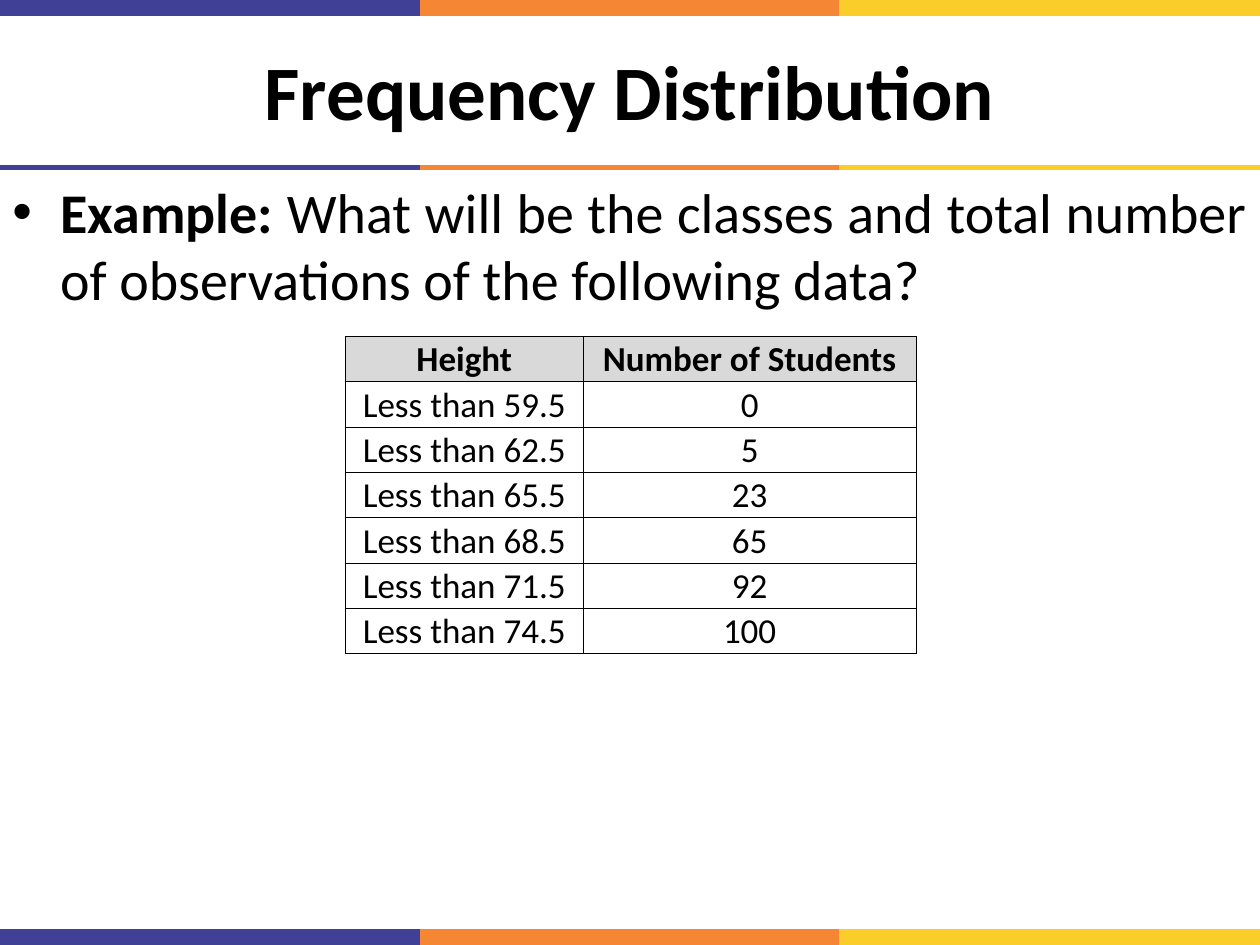
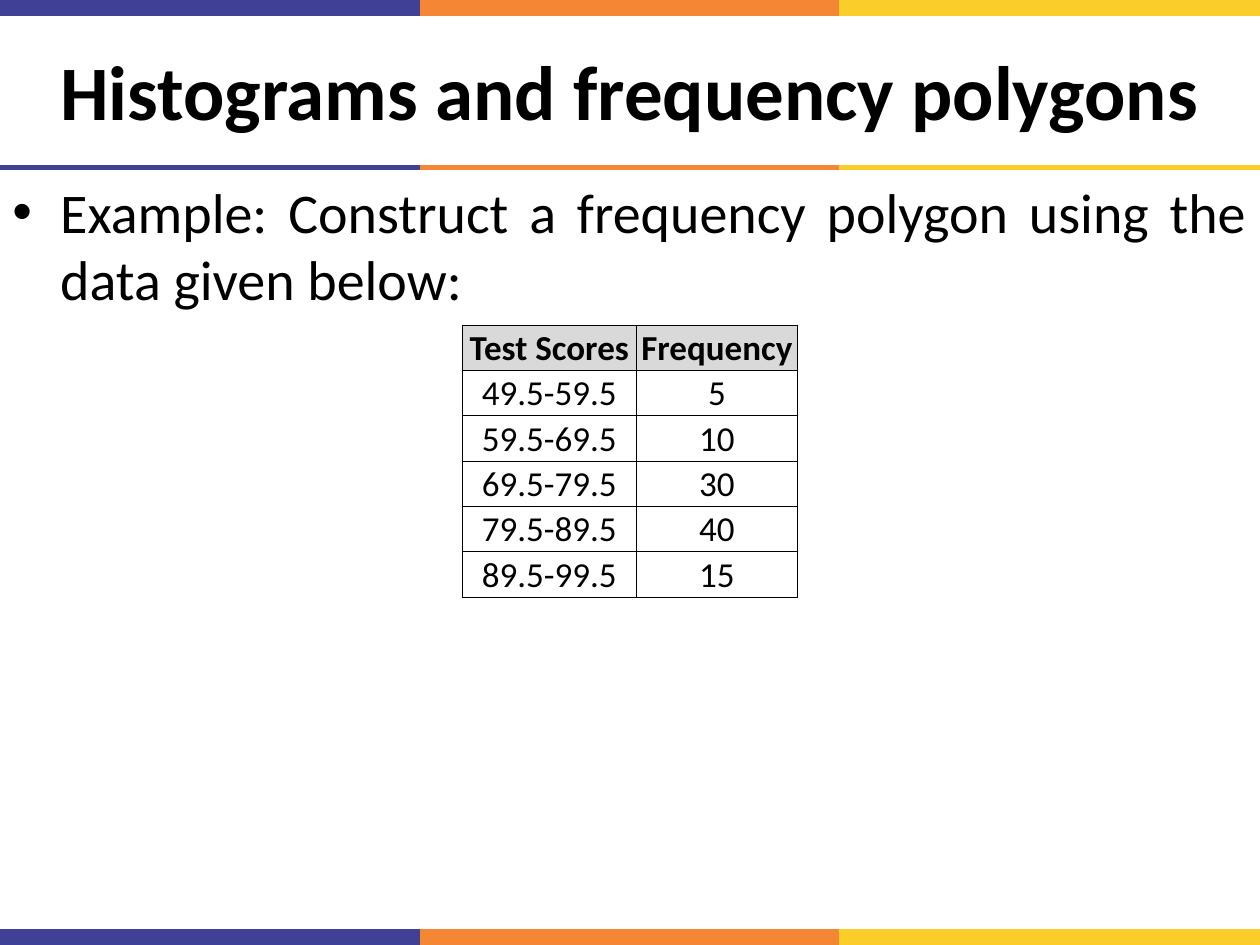
from lxml import etree
from pptx import Presentation
from pptx.dml.color import RGBColor
from pptx.enum.shapes import MSO_CONNECTOR
from pptx.enum.text import MSO_ANCHOR, PP_ALIGN
from pptx.oxml.ns import qn
from pptx.util import Inches, Pt

STRAIGHT = MSO_CONNECTOR.STRAIGHT
MIDDLE = MSO_ANCHOR.MIDDLE
CENTER = PP_ALIGN.CENTER
JUSTIFY = PP_ALIGN.JUSTIFY

FONT = "Calibri"
BLACK = "000000"
WHITE = "FFFFFF"
HEADER_GREY = "D9D9D9"
BAND_COLORS = ["404096", "F58634", "FACD2A"]
BAND_EDGES = [0, 3.33, 6.66, 10]
BANDS = [(7.44, 10), (0.06, 10), (1.33, 3)]
ROW_HEIGHT = 0.36

SLIDES = [
    {
        "title": "Frequency Distribution",
        "body": [
            ("Example: ", True),
            ("What will be the classes and total number of observations of the following data?", False),
        ],
        "body_height": 1.31,
        "table_at": (2.74, 2.67),
        "columns": [1.89, 2.64],
        "rows": [
            ("Height", "Number of Students"),
            ("Less than 59.5", "0"),
            ("Less than 62.5", "5"),
            ("Less than 65.5", "23"),
            ("Less than 68.5", "65"),
            ("Less than 71.5", "92"),
            ("Less than 74.5", "100"),
        ],
    },
    {
        "title": "Histograms and frequency polygons",
        "body": [("Example: Construct a frequency polygon using the data given below:", False)],
        "body_height": 5.97,
        "table_at": (3.67, 2.58),
        "columns": [1.38, 1.28],
        "rows": [
            ("Test Scores", "Frequency"),
            ("49.5-59.5", "5"),
            ("59.5-69.5", "10"),
            ("69.5-79.5", "30"),
            ("79.5-89.5", "40"),
            ("89.5-99.5", "15"),
        ],
    },
]


def rgb(color):
    return RGBColor.from_string(color)


def style(run, size, bold):
    run.font.name = FONT
    run.font.size = Pt(size)
    run.font.bold = bold
    run.font.color.rgb = rgb(BLACK)


prs = Presentation()
prs.slide_width = Inches(10)
prs.slide_height = Inches(7.5)

for content in SLIDES:
    s = prs.slides.add_slide(prs.slide_layouts[6])

    for y, weight in BANDS:
        for left, right, color in zip(BAND_EDGES, BAND_EDGES[1:], BAND_COLORS):
            line = s.shapes.add_connector(STRAIGHT, Inches(left), Inches(y), Inches(right), Inches(y))
            line.line.color.rgb = rgb(color)
            line.line.width = Pt(weight)
            etree.SubElement(line._element.spPr, qn("a:effectLst"))

    title = s.shapes.add_textbox(0, Inches(0.13), Inches(10), Inches(1.16))
    tf = title.text_frame
    tf.word_wrap = True
    tf.vertical_anchor = MIDDLE
    tf.text = content["title"]
    p = tf.paragraphs[0]
    p.alignment = CENTER
    style(p.runs[0], 44, True)

    body = s.shapes.add_textbox(0, Inches(1.36), Inches(10), Inches(content["body_height"]))
    tf = body.text_frame
    tf.word_wrap = True
    p = tf.paragraphs[0]
    p.alignment = JUSTIFY
    pPr = p._p.get_or_add_pPr()
    pPr.set("marL", str(Inches(0.38)))
    pPr.set("indent", str(-Inches(0.38)))
    etree.SubElement(pPr, qn("a:buFont"), typeface="Arial")
    etree.SubElement(pPr, qn("a:buChar"), char="•")
    for text, bold in content["body"]:
        r = p.add_run()
        r.text = text
        style(r, 32, bold)

    rows, columns = content["rows"], content["columns"]
    left, top = content["table_at"]
    table = s.shapes.add_table(
        len(rows), len(columns), Inches(left), Inches(top),
        Inches(sum(columns)), Inches(ROW_HEIGHT * len(rows)),
    ).table
    for column, width in zip(table.columns, columns):
        column.width = Inches(width)
    for i, values in enumerate(rows):
        table.rows[i].height = Inches(ROW_HEIGHT)
        for j, value in enumerate(values):
            cell = table.cell(i, j)
            cell.margin_left = cell.margin_right = cell.margin_top = Inches(0.01)
            cell.margin_bottom = 0
            cell.vertical_anchor = MIDDLE
            cell.text_frame.text = value
            p = cell.text_frame.paragraphs[0]
            p.alignment = CENTER
            style(p.runs[0], 20, i == 0)
            tcPr = cell._tc.get_or_add_tcPr()
            for side in ("lnL", "lnR", "lnT", "lnB"):
                border = etree.SubElement(tcPr, qn(f"a:{side}"), w=str(Pt(0.5)))
                fill = etree.SubElement(border, qn("a:solidFill"))
                etree.SubElement(fill, qn("a:srgbClr"), val=BLACK)
            cell.fill.solid()
            cell.fill.fore_color.rgb = rgb(HEADER_GREY if i == 0 else WHITE)

prs.save("out.pptx")
